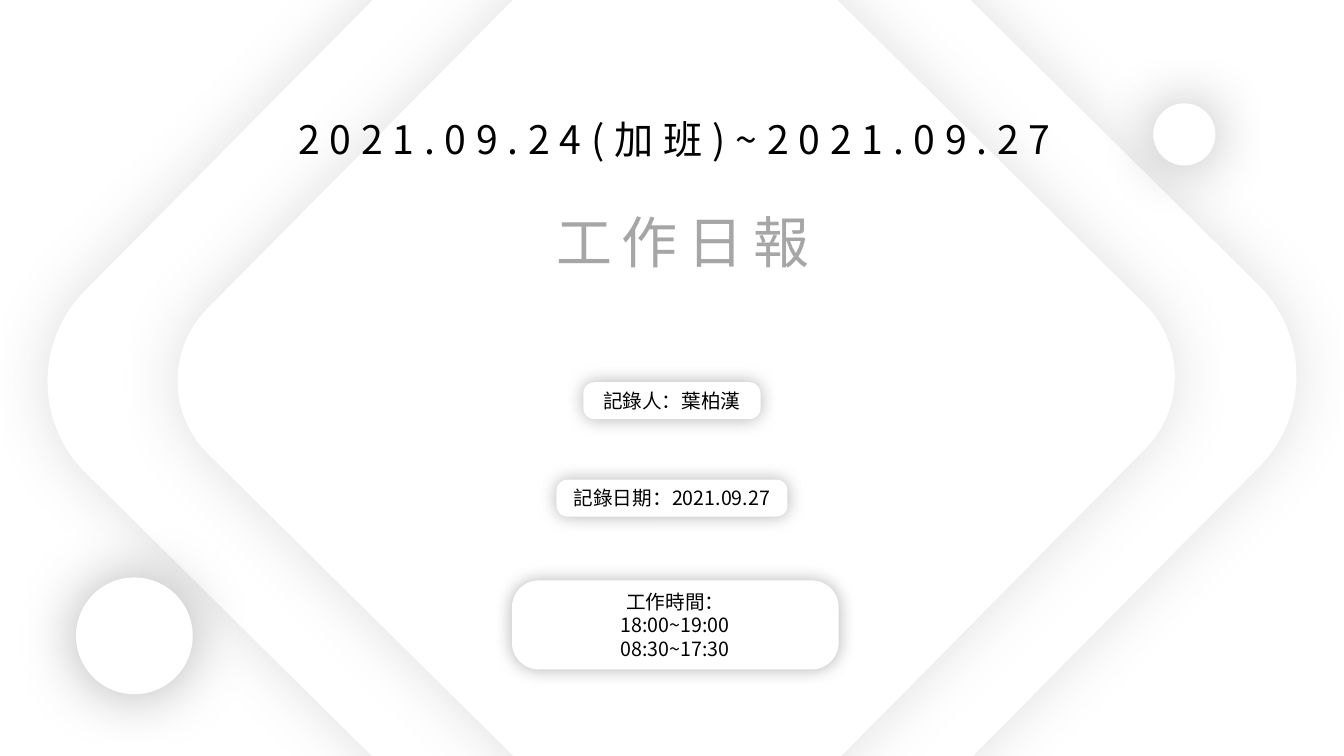
from dataclasses import dataclass

from lxml.etree import SubElement
from pptx import Presentation
from pptx.dml.color import RGBColor
from pptx.enum.shapes import MSO_SHAPE as Preset
from pptx.enum.text import MSO_ANCHOR as Anchor, MSO_AUTO_SIZE as AutoSize, PP_ALIGN as Align
from pptx.oxml.ns import qn
from pptx.shapes.autoshape import Shape
from pptx.slide import Slide
from pptx.util import Inches, Pt

COLUMNS, ROWS = 16, 9
CELL = Inches(7.5) / ROWS
FONT = "Noto Sans CJK SC"
WHITE, BLACK, GREY, SMOKE = "FFFFFF", "000000", "A6A6A6", "595959"


@dataclass(frozen=True)
class Box:
    center_column: float
    center_row: float
    columns: float
    rows: float


@dataclass(frozen=True)
class Shadow:
    color: str
    opacity: int
    blur: int


@dataclass(frozen=True)
class Panel:
    box: Box
    preset: Preset
    shadow: Shadow
    corner: float = 0
    rotation: float = 0
    lines: tuple[str, ...] = ()


@dataclass(frozen=True)
class Heading:
    box: Box
    text: str
    size: int
    color: str


DIAMOND_SHADOW = Shadow(SMOKE, 19, 43)
CIRCLE_SHADOW = Shadow(BLACK, 30, 43)
BADGE_SHADOW = Shadow(BLACK, 30, 13)


def diamond(center_column: float, side: float) -> Panel:
    box = Box(center_column, 4.51, side, side)
    return Panel(box, Preset.ROUNDED_RECTANGLE, DIAMOND_SHADOW, 0.134, 44.7)


def circle(center_column: float, center_row: float, diameter: float) -> Panel:
    return Panel(Box(center_column, center_row, diameter, diameter), Preset.OVAL, CIRCLE_SHADOW)


def badge(box: Box, *lines: str) -> Panel:
    return Panel(box, Preset.ROUNDED_RECTANGLE, BADGE_SHADOW, 0.302, 0, lines)


DIAMONDS = (diamond(8, 11.41), diamond(8.05, 9.11))
DETAILS = (
    circle(1.6, 7.57, 1.39),
    circle(14.1, 1.6, 0.74),
    badge(Box(8, 4.77, 2.11, 0.44), "記錄人：葉柏漢"),
    badge(Box(8, 5.93, 2.75, 0.44), "記錄日期：2021.09.27"),
    badge(Box(8.04, 7.44, 3.89, 1.06), "工作時間：", "18:00~19:00", "08:30~17:30"),
)
PERIOD = Heading(Box(8.03, 1.65, 9.68, 0.68), "2021.09.24(加班)~2021.09.27", 28, BLACK)
TITLE = Heading(Box(8.13, 2.87, 5.7, 0.92), "工作日報", 40, GREY)


def rgb(color: str) -> RGBColor:
    return RGBColor.from_string(color)


def bounds(box: Box) -> dict[str, int]:
    return {
        "left": round((box.center_column - box.columns / 2) * CELL),
        "top": round((box.center_row - box.rows / 2) * CELL),
        "width": round(box.columns * CELL),
        "height": round(box.rows * CELL),
    }


def apply(target: object, values: dict[str, object]) -> None:
    for name, value in values.items():
        setattr(target, name, value)


def write(shape: Shape, lines: tuple[str, ...], size: int, color: str, spacing: int = 0) -> None:
    frame = shape.text_frame
    frame.text = "\n".join(lines)
    margins = dict.fromkeys(("margin_left", "margin_right", "margin_top", "margin_bottom"), 0)
    apply(frame, {"word_wrap": True, "auto_size": AutoSize.NONE, "vertical_anchor": Anchor.MIDDLE, **margins})
    for paragraph in frame.paragraphs:
        paragraph.alignment = Align.CENTER
        for run in paragraph.runs:
            apply(run.font, {"name": FONT, "size": Pt(size)})
            run.font.color.rgb = rgb(color)
            properties = run.font._element
            properties.set("spc", str(spacing * 100))
            SubElement(properties, qn("a:ea"), typeface=FONT)


def add_glow(shape: Shape, shadow: Shadow) -> None:
    shape.shadow.inherit = False
    effects = shape.element.spPr.find(qn("a:effectLst"))
    outer = SubElement(effects, qn("a:outerShdw"), blurRad=str(Pt(shadow.blur)),
                       dist="0", dir="0", algn="ctr", rotWithShape="0")
    color = SubElement(outer, qn("a:srgbClr"), val=shadow.color)
    SubElement(color, qn("a:alpha"), val=str(shadow.opacity * 1000))


def add_panel(slide: Slide, panel: Panel) -> None:
    shape = slide.shapes.add_shape(panel.preset, **bounds(panel.box))
    shape.rotation = panel.rotation
    if panel.corner:
        shape.adjustments[0] = panel.corner
    shape.fill.solid()
    shape.fill.fore_color.rgb = rgb(WHITE)
    shape.line.fill.background()
    add_glow(shape, panel.shadow)
    if panel.lines:
        write(shape, panel.lines, 14, BLACK)


def fill_heading(shape: Shape, heading: Heading) -> None:
    apply(shape, bounds(heading.box))
    write(shape, (heading.text,), heading.size, heading.color, 7)


def main() -> None:
    presentation = Presentation()
    apply(presentation, {"slide_width": round(COLUMNS * CELL), "slide_height": round(ROWS * CELL)})
    slide = presentation.slides.add_slide(presentation.slide_layouts[5])
    slide.background.fill.solid()
    slide.background.fill.fore_color.rgb = rgb(WHITE)
    for panel in DIAMONDS:
        add_panel(slide, panel)
    fill_heading(slide.shapes.add_textbox(0, 0, 0, 0), PERIOD)
    title = slide.shapes.title
    fill_heading(title, TITLE)
    title.element.getparent().append(title.element)
    for panel in DETAILS:
        add_panel(slide, panel)
    presentation.save("out.pptx")


if __name__ == "__main__":
    main()
